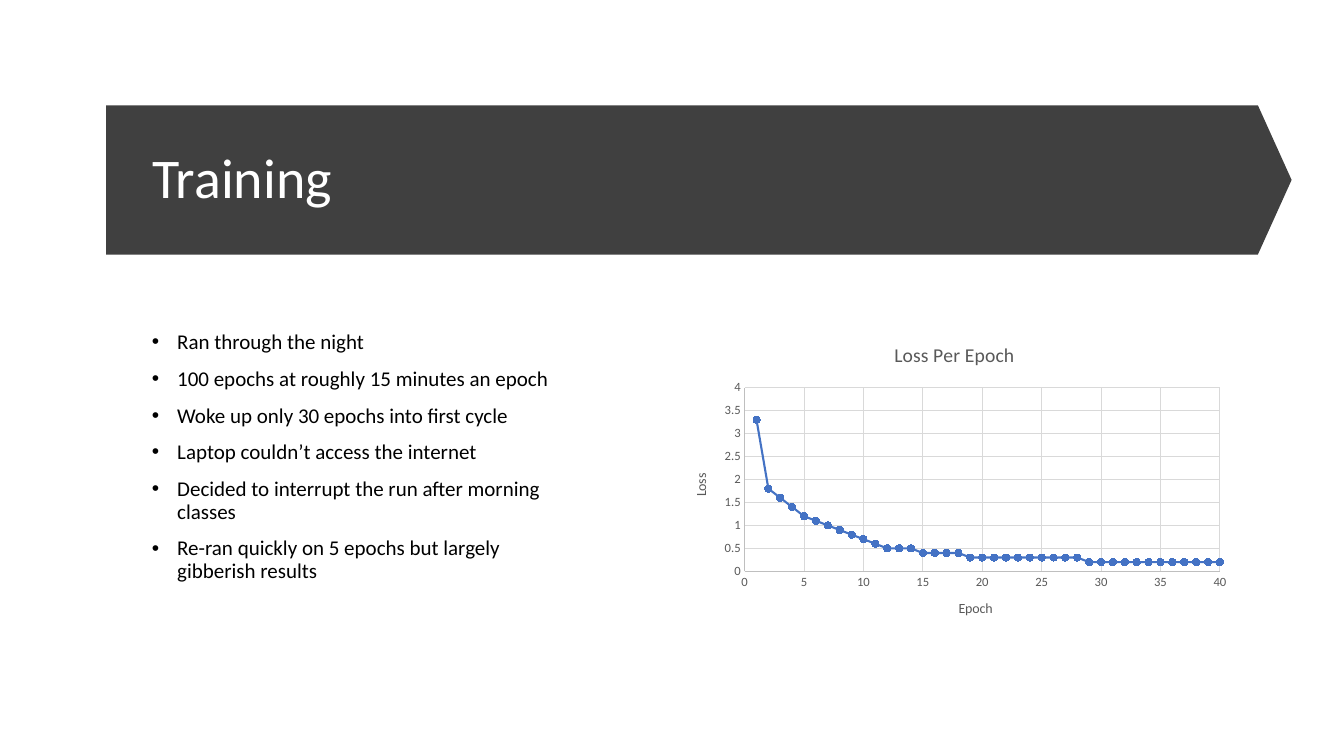
from dataclasses import dataclass

from lxml import etree
from pptx import Presentation
from pptx import util as u
from pptx.chart import data as chart_data
from pptx.dml.color import RGBColor
from pptx.enum import chart as charts, shapes, text
from pptx.oxml.ns import qn


@dataclass(frozen=True)
class Theme:
    """Colours, font and type sizes in points."""
    font: str = "Calibri"
    band: str = "404040"
    title: str = "FFFFFF"
    body: str = "000000"
    label: str = "595959"
    axis: str = "BFBFBF"
    grid: str = "D9D9D9"
    curve: str = "4472C4"
    title_size: int = 40
    body_size: int = 15
    chart_title_size: int = 14
    axis_title_size: int = 10
    tick_size: int = 9


class SlideBuilder:
    """Draws elements on one slide in one theme."""

    def __init__(self, slide, theme):
        """Keep the slide and the theme."""
        self.slide, self.theme = slide, theme

    def style_font(self, font, size, color):
        """Set family, size and colour."""
        font.name, font.size, font.bold = self.theme.font, u.Pt(size), False
        font.color.rgb = RGBColor.from_string(color)

    def style_line(self, line, color, width):
        """Set line colour and width."""
        line.color.rgb = RGBColor.from_string(color)
        line.width = u.Pt(width)

    def band(self, left, top, length, thickness, head):
        """Draw a solid band that points right."""
        shift = (length - thickness) / 2
        arrow = self.slide.shapes.add_shape(
            shapes.MSO_SHAPE.DOWN_ARROW, u.Pt(left + shift), u.Pt(top - shift),
            u.Pt(thickness), u.Pt(length))
        arrow.rotation = 270
        arrow.adjustments[0], arrow.adjustments[1] = 1, head
        arrow.shadow.inherit = False
        arrow.fill.solid()
        arrow.fill.fore_color.rgb = RGBColor.from_string(self.theme.band)
        arrow.line.fill.background()
        tree = self.slide.shapes.title.element.getparent()
        tree.insert(2, arrow.element)

    def title(self, wording, left, top, width, height):
        """Place and format the title placeholder."""
        heading = self.slide.shapes.title
        heading.left, heading.top = u.Pt(left), u.Pt(top)
        heading.width, heading.height = u.Pt(width), u.Pt(height)
        frame = heading.text_frame
        frame.text = wording
        frame.auto_size = text.MSO_AUTO_SIZE.NONE
        frame.vertical_anchor = text.MSO_ANCHOR.MIDDLE
        paragraph = frame.paragraphs[0]
        paragraph.alignment = text.PP_ALIGN.LEFT
        paragraph.line_spacing = 0.9
        self.style_font(paragraph.font, self.theme.title_size, self.theme.title)

    def bullets(self, points, left, top, width, height):
        """Write a bulleted list."""
        frame = self.slide.shapes.add_textbox(
            u.Pt(left), u.Pt(top), u.Pt(width), u.Pt(height)).text_frame
        frame.word_wrap = True
        frame.text = "\n".join(points)
        for paragraph in frame.paragraphs:
            paragraph.line_spacing = 0.9
            paragraph.space_before = u.Pt(10)
            self.style_font(paragraph.font, self.theme.body_size, self.theme.body)
            properties = paragraph._p.get_or_add_pPr()
            properties.set("marL", str(u.Pt(18)))
            properties.set("indent", str(u.Pt(-18)))
            bullet_font = etree.Element(qn("a:buFont"), typeface="Arial")
            bullet = etree.Element(qn("a:buChar"), char="•")
            position = properties.index(properties.find(qn("a:defRPr")))
            properties[position:position] = [bullet_font, bullet]

    def axis(self, axis, wording, maximum, step):
        """Scale, title and colour one axis."""
        axis.minimum_scale, axis.maximum_scale, axis.major_unit = 0, maximum, step
        axis.major_tick_mark = axis.minor_tick_mark = charts.XL_TICK_MARK.NONE
        axis.has_major_gridlines = True
        self.style_line(axis.major_gridlines.format.line, self.theme.grid, 0.75)
        self.style_line(axis.format.line, self.theme.axis, 0.75)
        axis.tick_labels.number_format = "General"
        axis.tick_labels.number_format_is_linked = False
        self.style_font(axis.tick_labels.font, self.theme.tick_size, self.theme.label)
        self.chart_label(axis.axis_title, wording, self.theme.axis_title_size)

    def chart_label(self, label, wording, size):
        """Write a chart or axis title."""
        label.text_frame.text = wording
        self.style_font(label.text_frame.paragraphs[0].font, size, self.theme.label)

    def loss_curve(self, losses, left, top, width, height):
        """Plot loss against epoch as a smooth curve."""
        table = chart_data.XyChartData()
        series_data = table.add_series("Series 1")
        for epoch, loss in enumerate(losses, 1):
            series_data.add_data_point(epoch, loss)
        chart = self.slide.shapes.add_chart(
            charts.XL_CHART_TYPE.XY_SCATTER_SMOOTH, u.Pt(left), u.Pt(top),
            u.Pt(width), u.Pt(height), table).chart
        self.style_font(chart.font, self.theme.axis_title_size, self.theme.body)
        chart.has_legend = False
        self.chart_label(chart.chart_title, "Loss Per Epoch", self.theme.chart_title_size)
        self.axis(chart.category_axis, "Epoch", 40, 5)
        self.axis(chart.value_axis, "Loss", 4, 0.5)
        plot = chart.plots[0]
        plot.vary_by_categories = False
        curve = plot.series[0]
        curve.smooth = True
        self.style_line(curve.format.line, self.theme.curve, 1.5)
        curve.marker.style = charts.XL_MARKER_STYLE.CIRCLE
        curve.marker.size = 5
        curve.marker.format.fill.solid()
        curve.marker.format.fill.fore_color.rgb = RGBColor.from_string(self.theme.curve)
        self.style_line(curve.marker.format.line, self.theme.curve, 0.75)


def main():
    """Build the training slide."""
    deck = Presentation()
    deck.slide_width, deck.slide_height = u.Pt(960), u.Pt(540)
    builder = SlideBuilder(deck.slides.add_slide(deck.slide_layouts[5]), Theme())
    builder.band(75.9, 75.2, 846.7, 106.6, 0.226)
    builder.title("Training", 101.5, 95, 789, 67.7)
    builder.bullets([
        "Ran through the night",
        "100 epochs at roughly 15 minutes an epoch",
        "Woke up only 30 epochs into first cycle",
        "Laptop couldn’t access the internet",
        "Decided to interrupt the run after morning classes",
        "Re-ran quickly on 5 epochs but largely gibberish results",
    ], 101.5, 233.3, 319, 221.8)
    early_losses = [3.3, 1.8, 1.6, 1.4, 1.2, 1.1, 1, 0.9, 0.8, 0.7, 0.6]
    late_losses = [0.5] * 3 + [0.4] * 4 + [0.3] * 10 + [0.2] * 13
    builder.loss_curve(early_losses + late_losses, 479.5, 233.3, 404.6, 221.8)
    deck.save("out.pptx")


if __name__ == "__main__":
    main()
